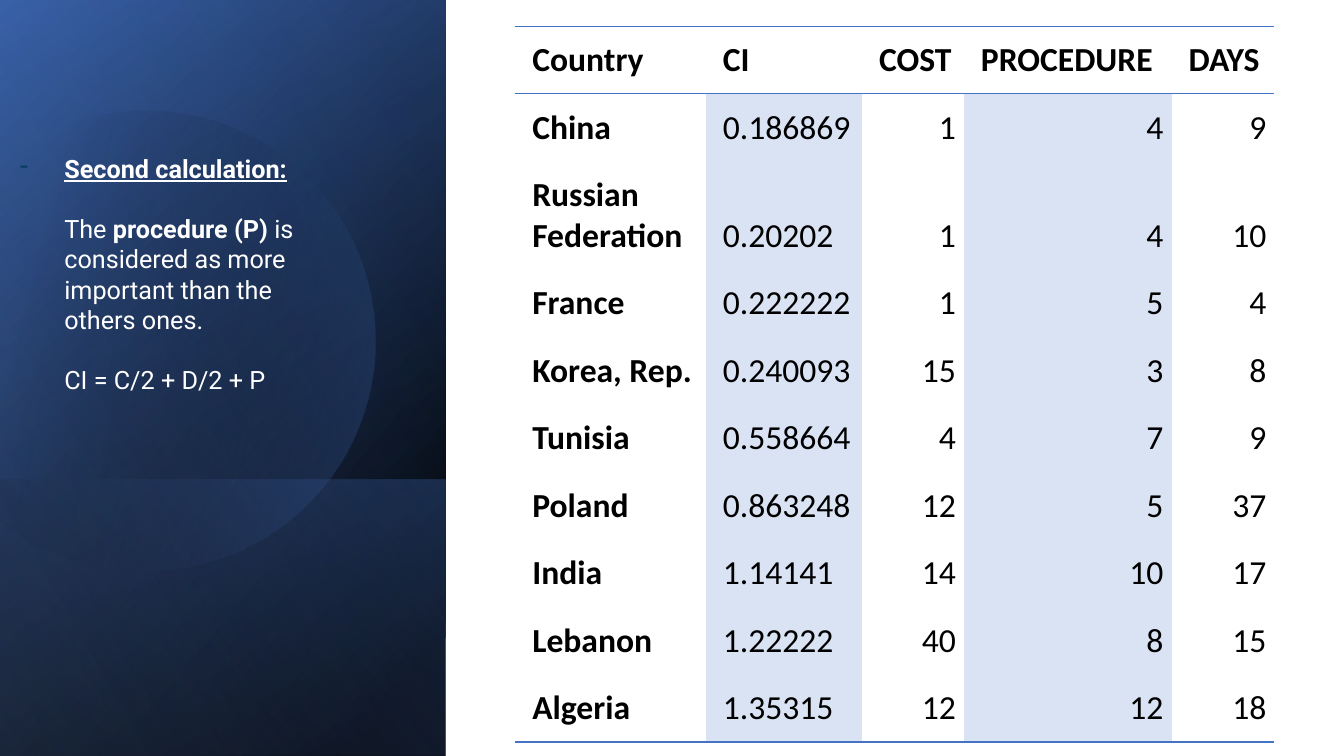
from math import cos, radians, sin

from pptx import Presentation
from pptx.dml.color import RGBColor
from pptx.enum.shapes import MSO_SHAPE
from pptx.enum.text import MSO_ANCHOR, MSO_AUTO_SIZE, PP_ALIGN
from pptx.oxml import parse_xml
from pptx.oxml.ns import nsdecls, qn
from pptx.util import Inches, Pt

BLACK = RGBColor(0x00, 0x00, 0x00)
WHITE = RGBColor(0xFF, 0xFF, 0xFF)
BLUE = RGBColor(0x44, 0x72, 0xC4)
DARK_BLUE = RGBColor(0x2F, 0x55, 0x97)
LIGHT_BLUE = RGBColor(0x8F, 0xAA, 0xDC)
BAND = RGBColor(0xDA, 0xE3, 0xF3)
DASH = RGBColor(0x08, 0x3D, 0x65)
NO_STYLE = "{2D5ABB26-0587-4C30-8999-92F81FD0307C}"

HEADER = ["Country", "CI", "COST", "PROCEDURE", "DAYS"]
COUNTRIES = [
    ["China", "0.186869", "1", "4", "9"],
    ["Russian Federation", "0.20202", "1", "4", "10"],
    ["France", "0.222222", "1", "5", "4"],
    ["Korea, Rep.", "0.240093", "15", "3", "8"],
    ["Tunisia", "0.558664", "4", "7", "9"],
    ["Poland", "0.863248", "12", "5", "37"],
    ["India", "1.14141", "14", "10", "17"],
    ["Lebanon", "1.22222", "40", "8", "15"],
    ["Algeria", "1.35315", "12", "12", "18"],
]
COL_WIDTHS = [1.89, 1.55, 1.01, 2.06, 1.02]
BANDED_COLS = (1, 3)

# Disc outline: a start, then Bezier curves (6 numbers) and lines (2 numbers)
DISC_START = (1.49, 1.1)
DISC_STEPS = [
    (2.46, 1.12, 3.35, 1.77, 3.63, 2.75),
    (3.98, 3.97, 3.28, 5.23, 2.07, 5.58),
    (1.31, 5.8, 0.53, 5.61, -0.03, 5.14),
    (-0.15, 5.03), (-0.15, 1.75), (0, 1.61),
    (0.23, 1.42, 0.5, 1.28, 0.8, 1.19),
    (1.03, 1.13, 1.26, 1.1, 1.49, 1.1),
]
DISC_CENTER = (1.585, 3.345)
DISC_TURN = 343.9


def set_gradient(sp, angle, *stops):
    """Fill with stops of (position %, colour, opacity %) and drop the outline."""
    gs = "".join(
        f'<a:gs pos="{pos * 1000}"><a:srgbClr val="{color}">'
        f'<a:alpha val="{opacity * 1000}"/></a:srgbClr></a:gs>'
        for pos, color, opacity in stops)
    grad = parse_xml(
        f'<a:gradFill {nsdecls("a")} rotWithShape="1"><a:gsLst>{gs}</a:gsLst>'
        f'<a:lin ang="{angle * 60000}" scaled="0"/></a:gradFill>')
    sp.shadow.inherit = False
    sp.line.fill.background()
    sp.fill.background()
    spPr = sp._element.spPr
    spPr.replace(spPr.find(qn("a:noFill")), grad)


def add_panel(s, x, y, w, h, angle, *stops):
    sp = s.shapes.add_shape(
        MSO_SHAPE.RECTANGLE, Inches(x), Inches(y), Inches(w), Inches(h))
    sp.rotation = 90
    sp._element.spPr.xfrm.set("flipH", "1")
    set_gradient(sp, angle, *stops)


def disc_points(samples=24):
    points = [DISC_START]
    for step in DISC_STEPS:
        if len(step) == 2:
            points.append(step)
            continue
        x0, y0 = points[-1]
        xs, ys = (x0, *step[::2]), (y0, *step[1::2])
        for i in range(1, samples + 1):
            t = i / samples
            weights = ((1 - t) ** 3, 3 * t * (1 - t) ** 2, 3 * t * t * (1 - t), t ** 3)
            points.append(tuple(
                sum(k * v for k, v in zip(weights, axis)) for axis in (xs, ys)))
    return points


def add_disc(s):
    # Turn the outline back, so that the shape's own rotation restores it
    cx, cy = DISC_CENTER
    c, n = cos(radians(-DISC_TURN)), sin(radians(-DISC_TURN))
    points = [(Inches(cx + (x - cx) * c - (y - cy) * n),
               Inches(cy + (x - cx) * n + (y - cy) * c)) for x, y in disc_points()]
    builder = s.shapes.build_freeform(*points[0])
    builder.add_line_segments(points[1:], close=True)
    sp = builder.convert_to_shape()
    sp.rotation = DISC_TURN
    set_gradient(sp, 30, (29, BLACK, 0), (100, BLUE, 43))


def add_border(cell, *sides):
    tcPr = cell._tc.get_or_add_tcPr()
    for i, side in enumerate(sides):
        tcPr.insert(i, parse_xml(
            f'<a:ln{side} {nsdecls("a")} w="12700"><a:solidFill>'
            f'<a:srgbClr val="{BLUE}"/></a:solidFill></a:ln{side}>'))


def fill_cell(cell, text, row, col):
    header = row == 0
    cell.text = text
    cell.margin_left, cell.margin_right = Inches(0.17), Inches(0.08)
    cell.margin_top = cell.margin_bottom = Inches(0.13)
    cell.vertical_anchor = MSO_ANCHOR.MIDDLE if header else MSO_ANCHOR.BOTTOM
    p = cell.text_frame.paragraphs[0]
    p.alignment = PP_ALIGN.LEFT if header or col < 2 else PP_ALIGN.RIGHT
    p.font.name, p.font.size = "Calibri", Pt(24)
    p.font.bold = header or col == 0
    p.font.color.rgb = BLACK
    if not header and col in BANDED_COLS:
        cell.fill.solid()
        cell.fill.fore_color.rgb = BAND
    else:
        cell.fill.background()
    if header:
        add_border(cell, "T", "B")
    elif row == len(COUNTRIES):
        add_border(cell, "B")


def add_country_table(s):
    rows = [HEADER] + COUNTRIES
    table = s.shapes.add_table(
        len(rows), len(HEADER), Inches(5.11), Inches(0.26),
        Inches(sum(COL_WIDTHS)), Inches(7.1)).table
    table.first_row = table.horz_banding = False
    table._tbl.tblPr.find(qn("a:tableStyleId")).text = NO_STYLE
    for column, width in zip(table.columns, COL_WIDTHS):
        column.width = Inches(width)
    for i, values in enumerate(rows):
        table.rows[i].height = Inches(1.07 if i == 2 else 0.67)
        for j, text in enumerate(values):
            fill_cell(table.cell(i, j), text, i, j)


def add_paragraph(tf, runs, first=False):
    """Add a paragraph of (text, bold) runs; the first one is the heading."""
    p = tf.paragraphs[0] if first else tf.add_paragraph()
    p.font.name, p.font.size = "Roboto", Pt(18)
    p.font.color.rgb = WHITE
    p.font.underline = first
    pPr = p._p.get_or_add_pPr()
    pPr.set("marL", str(Inches(0.5)))
    pPr.set("indent", str(Inches(-0.44 if first else 0)))
    if first:
        pPr.insert(0, parse_xml(
            f'<a:buClr {nsdecls("a")}><a:srgbClr val="{DASH}"/></a:buClr>'))
        pPr.insert(1, parse_xml(f'<a:buChar {nsdecls("a")} char="-"/>'))
    else:
        p.space_before = Pt(21.5)
    for text, bold in runs:
        r = p.add_run()
        r.text = text
        r.font.name, r.font.size = "Roboto", Pt(18)
        r.font.color.rgb = WHITE
        r.font.bold, r.font.underline = bold, first


def add_explanation(s):
    tf = s.shapes.add_textbox(
        Inches(0.04), Inches(1.47), Inches(3.14), Inches(2.52)).text_frame
    tf.word_wrap = True
    tf.auto_size = MSO_AUTO_SIZE.SHAPE_TO_FIT_TEXT
    add_paragraph(tf, [("Second calculation:", True)], first=True)
    add_paragraph(tf, [
        ("The ", False), ("procedure (P) ", True),
        ("is considered as more important than the others ones. ", False)])
    add_paragraph(tf, [("CI = C/2 + D/2 + P", False)])


def main():
    prs = Presentation()
    prs.slide_width, prs.slide_height = Inches(13.33), Inches(7.5)
    s = prs.slides.add_slide(prs.slide_layouts[6])

    # Layered gradient side panel
    side = (-1.54, 1.54, 7.5, 4.42)
    add_panel(s, *side, 50, (8, BLACK, 100), (100, DARK_BLUE, 100))
    add_panel(s, *side, 30, (0, BLACK, 0), (99, BLUE, 46))
    add_panel(s, 0.84, 3.92, 2.74, 4.42, 130, (2, BLUE, 29), (100, BLACK, 30))
    add_disc(s)
    add_panel(s, *side, 120, (0, BLACK, 0), (99, LIGHT_BLUE, 11))

    # Country table and explanation
    add_country_table(s)
    add_explanation(s)
    prs.save("out.pptx")


main()
